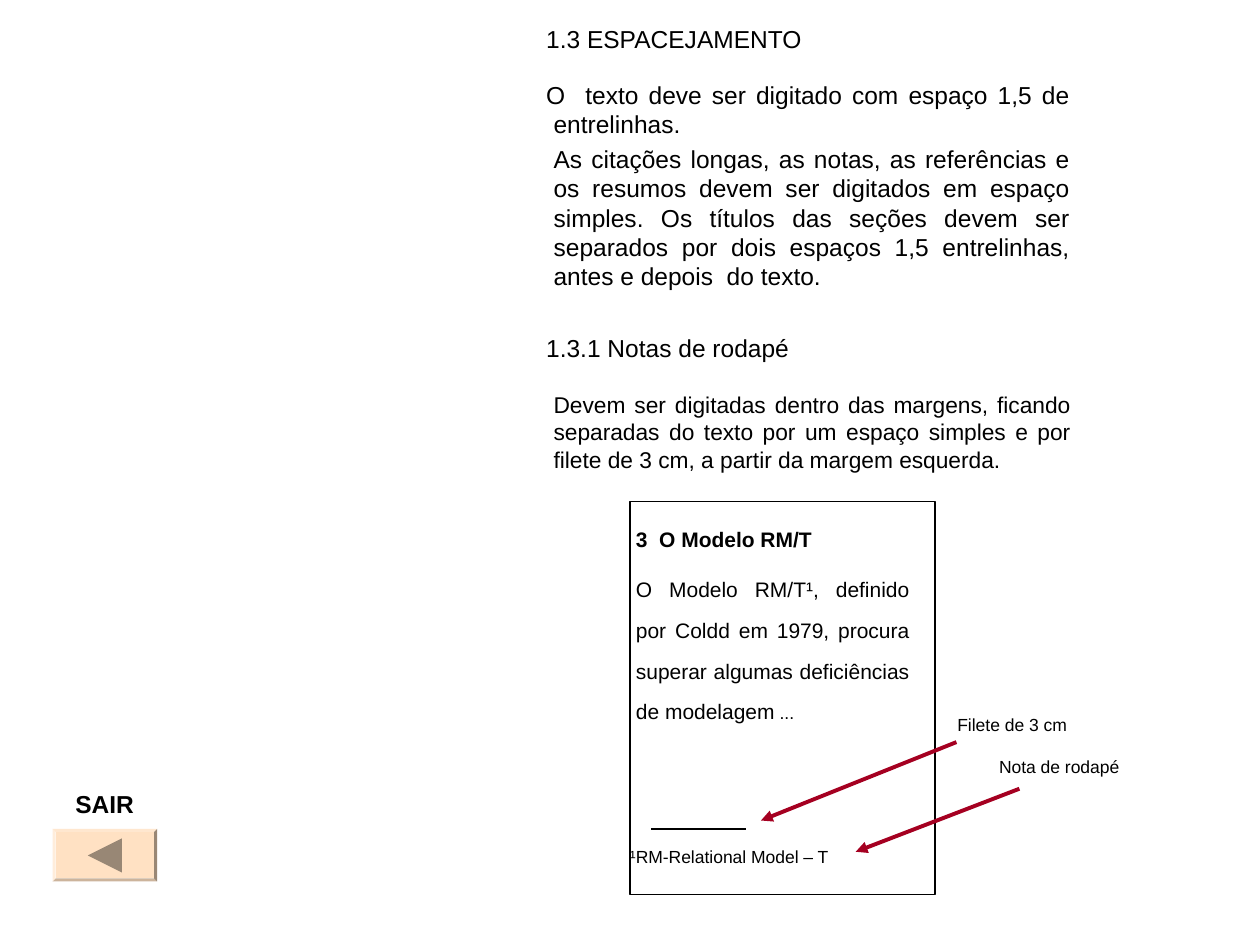
from lxml import etree
from pptx import Presentation
from pptx import util as u
from pptx.dml.color import RGBColor
from pptx.enum import shapes, text
from pptx.oxml.ns import qn

COLOURS = {"ink": "000000", "paper": "FFFFFF", "arrow": "A50021",
           "button": "FFE1C3", "symbol": "988775"}
FONT = "Arial"

# text, size, line pitch, space before (points), hanging first line
BODY = [
    ("1.3 ESPACEJAMENTO", 14, 16.7, 0, True),
    ("O  texto deve ser digitado com espaço 1,5 de entrelinhas.", 14, 16.7, 15.3, True),
    ("As citações longas, as notas, as referências e os resumos devem ser "
     "digitados em espaço simples. Os títulos das seções devem ser separados "
     "por dois espaços 1,5 entrelinhas, antes e depois  do texto.",
     14, 16.7, 3.5, False),
    ("1.3.1 Notas de rodapé", 14, 16.7, 24.4, True),
    ("Devem ser digitadas dentro das margens, ficando separadas do texto por "
     "um espaço simples e por filete de 3 cm, a partir da margem esquerda.",
     13, 15.8, 15.8, False),
]


def colour(name):
    return RGBColor.from_string(COLOURS[name])


def place(shape, left, top, width, height):
    shape.left, shape.top = u.Cm(left), u.Cm(top)
    shape.width, shape.height = u.Cm(width), u.Cm(height)


def prepare_frame(shape, left=0.25, top=0.0, right=0.25):
    frame = shape.text_frame
    frame.word_wrap = True
    frame.auto_size = text.MSO_AUTO_SIZE.NONE
    frame.vertical_anchor = text.MSO_ANCHOR.TOP
    frame.margin_left, frame.margin_right = u.Cm(left), u.Cm(right)
    frame.margin_top, frame.margin_bottom = u.Cm(top), 0
    return frame


def next_paragraph(frame, pitch, before=0, align=text.PP_ALIGN.LEFT,
                   margin=0.0, indent=0.0):
    """Return a bullet-free paragraph, using the frame's first one if empty."""
    paragraph = frame.paragraphs[0]
    if paragraph.runs:
        paragraph = frame.add_paragraph()
    properties = paragraph._p.get_or_add_pPr()
    properties.set("marL", str(u.Cm(margin)))
    properties.set("indent", str(u.Cm(indent)))
    etree.SubElement(properties, qn("a:buNone"))
    paragraph.alignment = align
    paragraph.line_spacing = u.Pt(pitch)
    paragraph.space_before = u.Pt(before)
    return paragraph


def add_run(paragraph, words, size, bold=False):
    run = paragraph.add_run()
    run.text = words
    run.font.name, run.font.size, run.font.bold = FONT, u.Pt(size), bold
    run.font.color.rgb = colour("ink")


def add_preset(slide, preset, box, fill, line=None):
    shape = slide.shapes.add_shape(preset, *map(u.Cm, box))
    shape.shadow.inherit = False
    shape.fill.solid()
    shape.fill.fore_color.rgb = colour(fill)
    if line:
        shape.line.color.rgb = colour(line)
        shape.line.width = u.Pt(0.75)
    else:
        shape.line.fill.background()
    return shape


def add_line(slide, ends, name, width, arrow=False):
    line = slide.shapes.add_connector(shapes.MSO_CONNECTOR.STRAIGHT, *map(u.Cm, ends))
    line.line.color.rgb = colour(name)
    line.line.width = u.Pt(width)
    if arrow:
        etree.SubElement(line.line._get_or_add_ln(), qn("a:tailEnd"), type="triangle")
    etree.SubElement(line._element.spPr, qn("a:effectLst"))


def add_label(slide, words, box, size, pitch, top=0.0, bold=False):
    label = slide.shapes.add_textbox(*map(u.Cm, box))
    add_run(next_paragraph(prepare_frame(label, top=top), pitch), words, size, bold)


def fill_body(placeholder):
    place(placeholder, 9.96, 0, 11.86, 17.98)
    placeholder.fill.solid()
    placeholder.fill.fore_color.rgb = colour("paper")
    frame = prepare_frame(placeholder, top=0.48)
    for words, size, pitch, before, hanging in BODY:
        paragraph = next_paragraph(frame, pitch, before, text.PP_ALIGN.JUSTIFY,
                                   0.95, -0.15 if hanging else 0)
        add_run(paragraph, words, size)


def add_exit_button(slide):
    add_label(slide, "SAIR", (1.27, 15.44, 2.11, 1.14), 14, 16, 0.49, True)
    bevel = add_preset(slide, shapes.MSO_SHAPE.BEVEL, (1.06, 16.71, 2.11, 1.06), "button")
    bevel.adjustments[0] = 0.06
    triangle = add_preset(slide, shapes.MSO_SHAPE.ISOSCELES_TRIANGLE,
                          (1.77, 16.9, 0.69, 0.69), "symbol")
    triangle.rotation = 270


def add_sample_page(slide):
    page = add_preset(slide, shapes.MSO_SHAPE.RECTANGLE, (12.7, 10.11, 6.15, 7.92),
                      "paper", "ink")
    frame = prepare_frame(page, left=0, top=0.52, right=0.51)
    add_run(next_paragraph(frame, 14, margin=0.12), "3  O Modelo RM/T", 12, True)
    paragraph = next_paragraph(frame, 23.3, 5.3, text.PP_ALIGN.JUSTIFY, 0.12)
    add_run(paragraph, "O Modelo RM/T¹, definido por Coldd em 1979, procura "
                       "superar algumas deficiências de modelagem", 12)
    add_run(paragraph, " ...", 10)
    add_run(next_paragraph(frame, 14, 67.9), "¹RM-Relational Model – T", 10)
    add_line(slide, (13.13, 16.71, 15.04, 16.71), "ink", 0.75)


def add_callouts(slide):
    add_line(slide, (19.28, 14.96, 15.34, 16.54), "arrow", 2.25, True)
    add_label(slide, "Filete de 3 cm", (19.05, 14.4, 2.9, 0.58), 10, 12)
    add_label(slide, "Nota de rodapé", (19.89, 15.24, 3.38, 0.58), 10, 12)
    add_line(slide, (20.55, 15.9, 17.25, 17.17), "arrow", 2.25, True)


def main():
    presentation = Presentation()
    presentation.slide_width, presentation.slide_height = u.Cm(25.4), u.Cm(19.05)
    slide = presentation.slides.add_slide(presentation.slide_layouts[1])
    title = slide.shapes.title._element
    title.getparent().remove(title)
    fill_body(slide.placeholders[1])
    add_exit_button(slide)
    add_sample_page(slide)
    add_callouts(slide)
    presentation.save("out.pptx")


if __name__ == "__main__":
    main()
